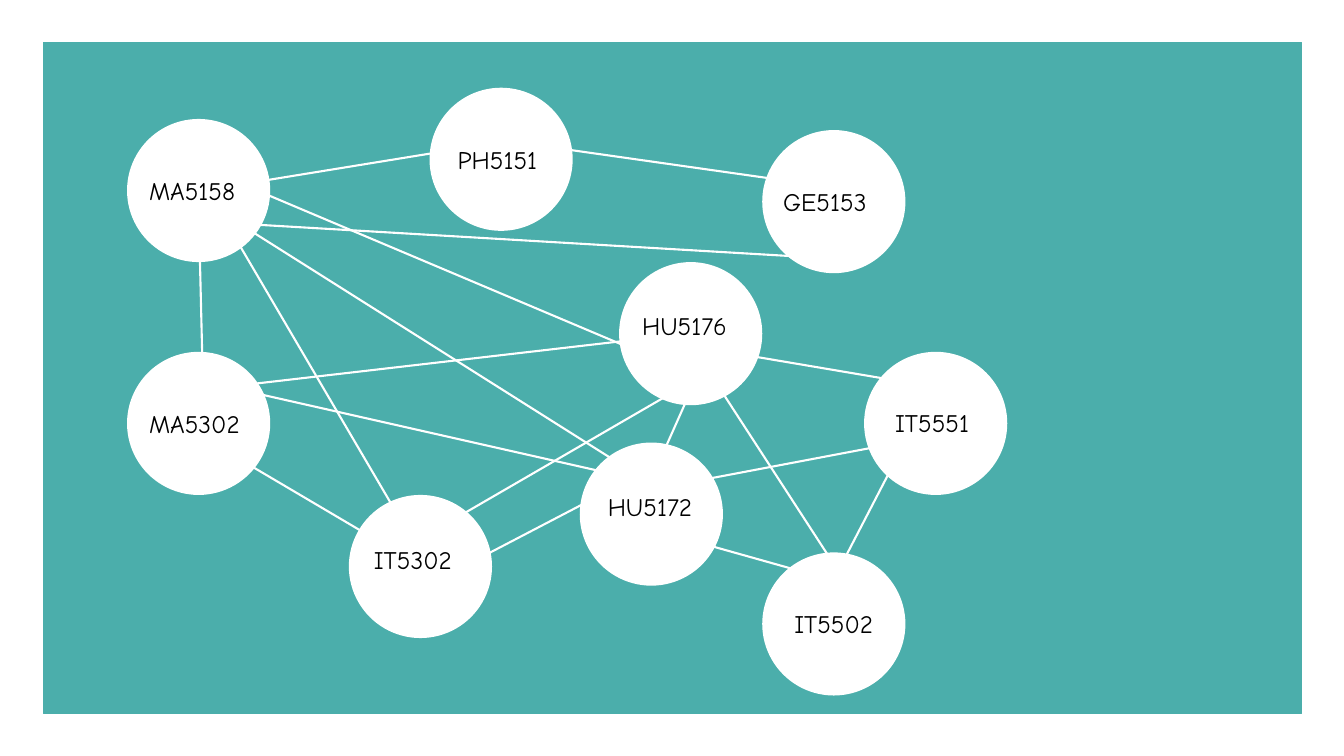
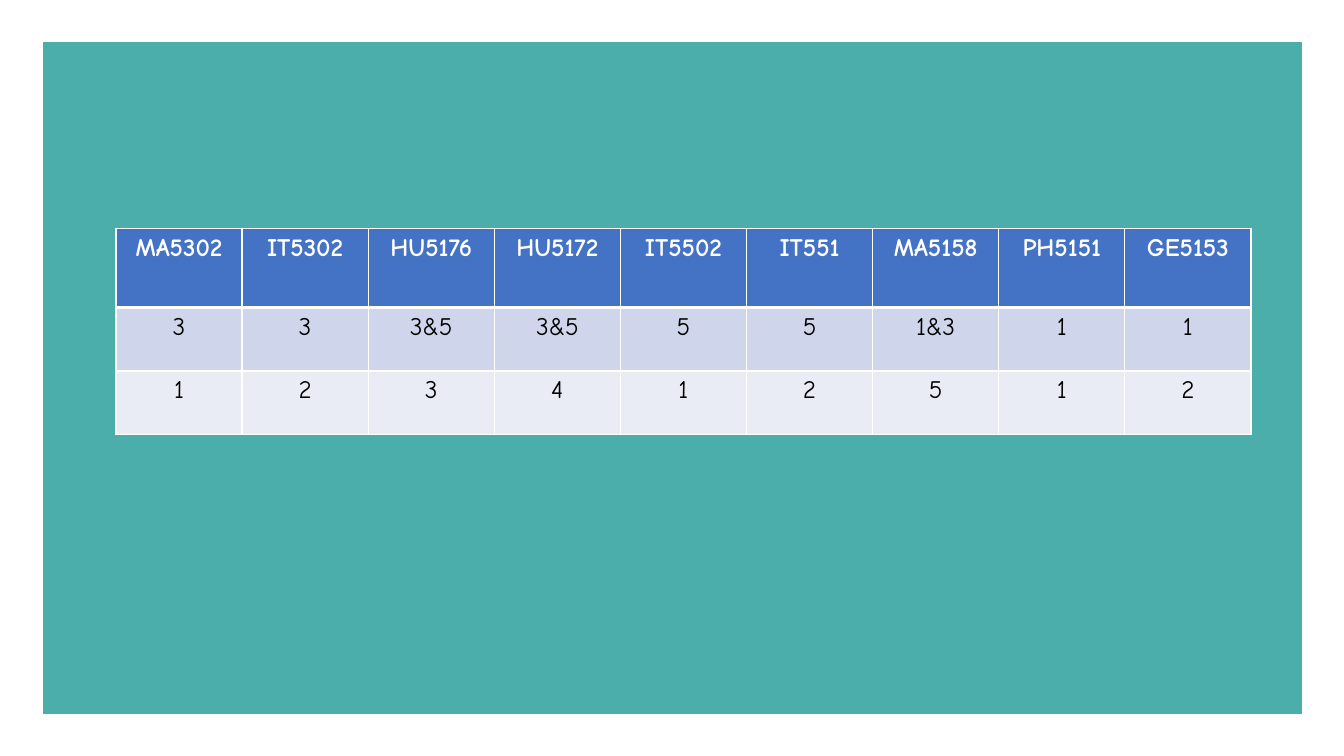
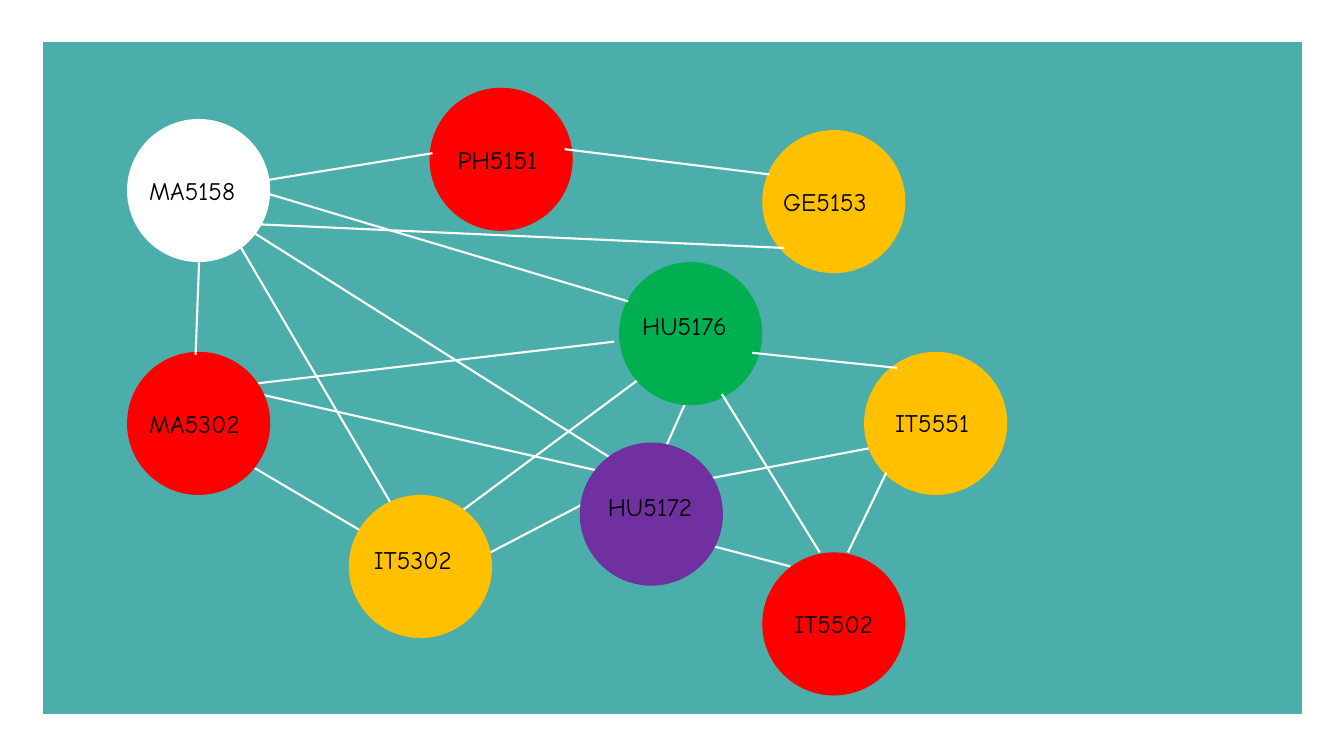
import lxml.etree
import pptx
import pptx.dml.color
import pptx.enum.shapes
import pptx.enum.text
import pptx.oxml
import pptx.oxml.ns
import pptx.util

COURSES = {
    "MA5158": (19.7, 18.9, 13.8, 16.9),
    "PH5151": (49.7, 15.8, 44.4, 13.8),
    "GE5153": (82.7, 20, 76.7, 18),
    "MA5302": (19.7, 42, 13.8, 40),
    "IT5302": (41.7, 56.2, 36.1, 53.5),
    "IT5502": (82.7, 61.9, 77.8, 59.9),
    "IT5551": (92.8, 42, 87.8, 39.9),
    "HU5172": (64.6, 51, 59.3, 48.3),
    "HU5176": (68.5, 33.1, 62.7, 30.3),
}
SLOT_COLOURS = {
    "PH5151": "FF0000", "MA5302": "FF0000", "IT5502": "FF0000",
    "GE5153": "FFC000", "IT5302": "FFC000", "IT5551": "FFC000",
    "HU5172": "7030A0", "HU5176": "00B050",
}
SHARED_LINKS = [
    (21.8, 44.4, 37.9, 53.9), (23.1, 23.2, 40.1, 52.2),
    (47.3, 55.5, 61.1, 48.3), (22.2, 38.3, 62, 47.3),
    (23.6, 22.1, 63.2, 47.1), (65.7, 45.1, 68.1, 39.7),
    (69.7, 47.6, 86.6, 44.4),
]
PLAIN_LINKS = [
    (26.3, 17.9, 42.9, 15.2), (56, 14.8, 77.8, 17.9),
    (82.9, 57.1, 90.1, 43.2), (43.5, 52.4, 73.5, 35),
    (22.2, 22.1, 83.4, 25.7), (20.1, 37, 19.8, 24.6),
    (21.5, 38.5, 64.7, 33.5), (25.5, 18.9, 64.8, 35.5),
    (72, 34.9, 92.1, 38.3), (68.5, 53.6, 80.6, 57),
    (70.2, 36.7, 83.3, 56.9),
]
COLOURED_BACK_LINKS = [
    (68.5, 53.6, 78.4, 56.2), (43.5, 52.4, 63.4, 37.6),
    (21.5, 38.5, 60.9, 33.9),
]
COLOURED_FRONT_LINKS = [
    (26.3, 17.9, 42.9, 15.2), (56, 14.8, 76.3, 17.3),
    (84.1, 54.8, 87.9, 46.9), (22.2, 22.1, 77.8, 24.6),
    (19.4, 35.2, 19.8, 24.6), (25.5, 18.9, 62.3, 29.9),
    (74.6, 35, 89, 36.5), (71.6, 39.1, 81.3, 54.8),
]
SCHEDULE = [
    ["MA5302", "IT5302", "HU5176", "HU5172", "IT5502", "IT551", "MA5158", "PH5151", "GE5153"],
    ["3", "3", "3&5", "3&5", "5", "5", "1&3", "1", "1"],
    ["1", "2", "3", "4", "1", "2", "5", "1", "2"],
]


def rgb(value):
    """Turn a hex string into a colour."""
    return pptx.dml.color.RGBColor.from_string(value)


class Deck:
    """Hold the style and the current slide, on a grid of ten cells to the inch."""

    WHITE, BLACK, TEAL = "FFFFFF", "000000", "4BAEAB"
    ROW_FILLS = ["4472C4", "CFD5EA", "E9EBF5"]
    FONT = {"name": "Comic Neue", "size": pptx.util.Pt(18), "bold": False}
    DIAMETER = 14.2

    def __init__(self):
        """Start a widescreen presentation."""
        self.prs = pptx.Presentation()
        self.prs.slide_width = self.cells(133.3)
        self.prs.slide_height = self.cells(75)
        self.s = None

    def cells(self, count):
        """Turn grid cells into a length."""
        return pptx.util.Inches(count / 10)

    def box(self, *lengths):
        """Turn several grid lengths into slide lengths."""
        return [self.cells(length) for length in lengths]

    def slide(self):
        """Add a slide with the teal panel."""
        self.s = self.prs.slides.add_slide(self.prs.slide_layouts[6])
        sp = self.shape("RECTANGLE", (4.3, 4.2, 124.8, 66.6), self.TEAL)
        sp.line.color.rgb = rgb(self.TEAL)
        sp.line.width = pptx.util.Pt(1)

    def shape(self, kind, area, fill):
        """Add a flat preset shape without an outline."""
        preset = getattr(pptx.enum.shapes.MSO_SHAPE, kind)
        sp = self.s.shapes.add_shape(preset, *self.box(*area))
        sp.shadow.inherit = False
        sp.fill.solid()
        sp.fill.fore_color.rgb = rgb(fill)
        sp.line.fill.background()
        return sp

    def text(self, p, text, colour, **changes):
        """Add one run in the deck's font."""
        r = p.add_run()
        r.text = text
        for name, value in {**self.FONT, **changes}.items():
            setattr(r.font, name, value)
        r.font.color.rgb = rgb(colour)

    def courses(self, fills):
        """Draw the course circles and their labels."""
        d = self.DIAMETER
        for name, (x, y, left, top) in COURSES.items():
            self.shape("OVAL", (x - d / 2, y - d / 2, d, d), fills.get(name, self.WHITE))
            tf = self.s.shapes.add_textbox(*self.box(left, top, 12, 4)).text_frame
            tf.word_wrap = True
            self.text(tf.paragraphs[0], name, self.BLACK)

    def links(self, ends):
        """Draw the lines between courses."""
        for link in ends:
            cxn = self.s.shapes.add_connector(
                pptx.enum.shapes.MSO_CONNECTOR.STRAIGHT, *self.box(*link))
            cxn.line.color.rgb = rgb(self.WHITE)
            cxn.line.width = pptx.util.Pt(1.5)
            lxml.etree.SubElement(cxn.element.spPr, pptx.oxml.ns.qn("a:effectLst"))

    def borders(self, cell, top, bottom):
        """Give a cell white borders."""
        tcPr = cell._tc.get_or_add_tcPr()
        for side, points in {"L": 1, "R": 1, "T": top, "B": bottom}.items():
            tcPr.append(pptx.oxml.parse_xml(
                f'<a:ln{side} {pptx.oxml.ns.nsdecls("a")} w="{pptx.util.Pt(points)}">'
                f'<a:solidFill><a:srgbClr val="{self.WHITE}"/></a:solidFill></a:ln{side}>'))

    def table(self, rows, area, heights):
        """Add a table with a header row and equal columns."""
        table = self.s.shapes.add_table(len(rows), len(rows[0]), *self.box(*area)).table
        for column in table.columns:
            column.width = self.cells(area[2] / len(rows[0]))
        for i, row in enumerate(rows):
            table.rows[i].height = self.cells(heights[i])
            for j, text in enumerate(row):
                cell = table.cell(i, j)
                self.borders(cell, 3 if i == 1 else 1, 3 if i == 0 else 1)
                cell.fill.solid()
                cell.fill.fore_color.rgb = rgb(self.ROW_FILLS[i])
                p = cell.text_frame.paragraphs[0]
                p.alignment = pptx.enum.text.PP_ALIGN.CENTER
                self.text(p, text, self.BLACK if i else self.WHITE, bold=i == 0)


def main():
    """Build the three slides."""
    deck = Deck()

    deck.slide()
    deck.links(SHARED_LINKS + PLAIN_LINKS)
    deck.courses({})

    deck.slide()
    deck.table(SCHEDULE, (11.5, 22.7, 112.6, 20.4), (7.8, 6.3, 6.3))

    deck.slide()
    deck.links(SHARED_LINKS + COLOURED_BACK_LINKS)
    deck.courses(SLOT_COLOURS)
    deck.links(COLOURED_FRONT_LINKS)

    deck.prs.save("out.pptx")


if __name__ == "__main__":
    main()
